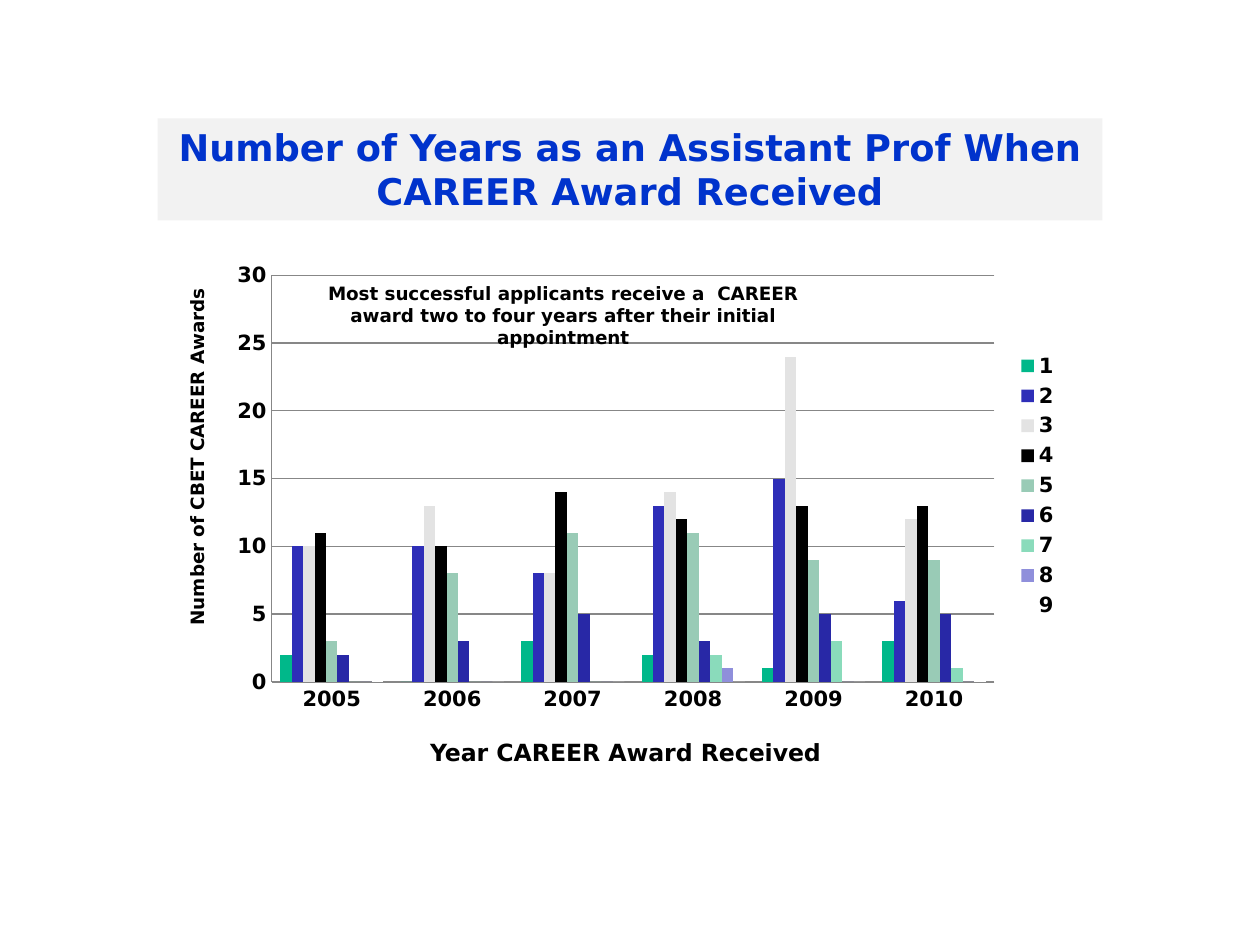
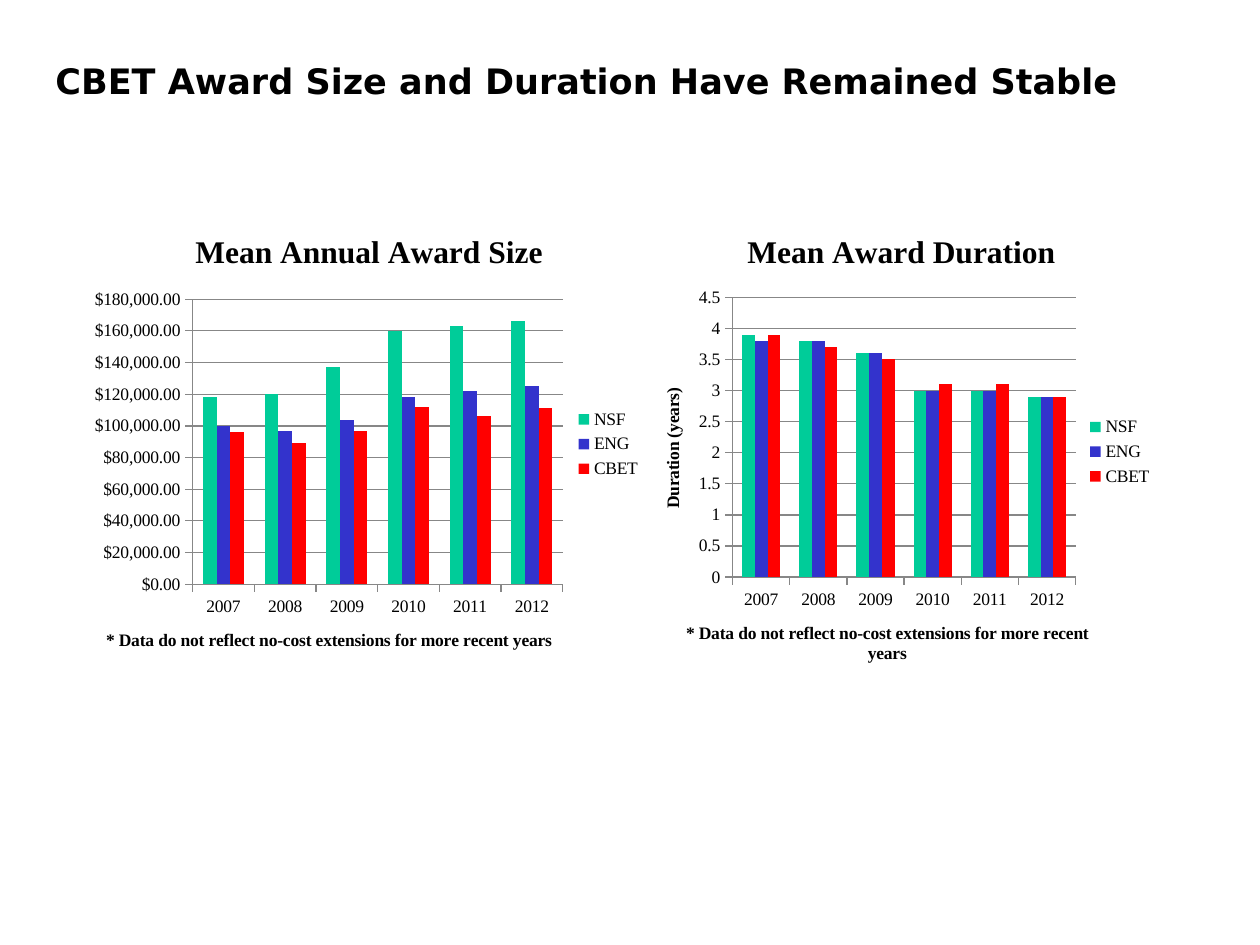
from pptx import Presentation
from pptx.chart.data import CategoryChartData
from pptx.dml.color import RGBColor
from pptx.enum.chart import XL_CHART_TYPE, XL_LEGEND_POSITION, XL_TICK_MARK
from pptx.enum.text import MSO_ANCHOR, MSO_AUTO_SIZE, PP_ALIGN
from pptx.oxml import parse_xml
from pptx.oxml.ns import nsdecls
from pptx.util import Inches, Pt

SANS, SERIF = "DejaVu Sans", "Times New Roman"
BLACK, TITLE_BLUE, BAND, GRID = "000000", "0033CC", "F2F2F2", "878787"
AWARD_YEARS = ["2005", "2006", "2007", "2008", "2009", "2010"]
RECENT_YEARS = ["2007", "2008", "2009", "2010", "2011", "2012"]
GROUP_COLORS = ["00CC99", "3333CC", "FF0000"]
EXTENSION_NOTE = "* Data do not reflect no-cost extensions for more recent years"


def write_text(shape, box, text, size, color=BLACK, wrap=True):
    shape.left, shape.top, shape.width, shape.height = map(Inches, box)
    frame = shape.text_frame
    frame.text = text
    frame.word_wrap = wrap
    frame.auto_size = MSO_AUTO_SIZE.NONE
    frame.vertical_anchor = MSO_ANCHOR.TOP
    paragraph = frame.paragraphs[0]
    paragraph.alignment = PP_ALIGN.CENTER
    paragraph.font.name = SANS
    paragraph.font.size = Pt(size)
    paragraph.font.bold = True
    paragraph.font.color.rgb = RGBColor.from_string(color)


def add_columns(slide, box, plot_box, years, series_rows, colors, top, step, tick_mark):
    data = CategoryChartData()
    data.categories = years
    for name, values in series_rows:
        data.add_series(name, values)
    chart = slide.shapes.add_chart(
        XL_CHART_TYPE.COLUMN_CLUSTERED, *map(Inches, box), data).chart
    chart.has_title = False
    chart.font.name = SERIF
    chart.font.size = Pt(10)
    chart.font.color.rgb = RGBColor.from_string(BLACK)
    chart.has_legend = True
    chart.legend.position = XL_LEGEND_POSITION.RIGHT
    chart.legend.include_in_layout = False
    plot = chart.plots[0]
    plot.gap_width = 150
    plot.overlap = 0
    plot.vary_by_categories = False
    for series, color in zip(plot.series, colors):
        series.invert_if_negative = False
        series.format.fill.solid()
        series.format.fill.fore_color.rgb = RGBColor.from_string(color)
    value_axis = chart.value_axis
    value_axis.minimum_scale, value_axis.maximum_scale = 0, top
    value_axis.major_unit = step
    value_axis.has_major_gridlines = True
    for axis in (chart.category_axis, value_axis):
        axis.major_tick_mark = tick_mark
        axis.format.line.color.rgb = RGBColor.from_string(GRID)
    value_axis.major_gridlines.format.line.color.rgb = RGBColor.from_string(GRID)
    plot_area = chart._chartSpace.chart.plotArea
    for layout in plot_area.findall("{*}layout"):
        plot_area.remove(layout)
    edges = "".join(f'<c:{key} val="{value}"/>' for key, value in zip("xywh", plot_box))
    plot_area.insert(0, parse_xml(
        f'<c:layout {nsdecls("c")}><c:manualLayout><c:layoutTarget val="inner"/>'
        f'<c:xMode val="edge"/><c:yMode val="edge"/>{edges}</c:manualLayout></c:layout>'))
    return chart


presentation = Presentation()
presentation.slide_width, presentation.slide_height = Inches(10), Inches(7.5)
title_only = presentation.slide_layouts[5]

slide = presentation.slides.add_slide(title_only)
title = slide.shapes.title
write_text(title, (1.25, 0.94, 7.5, 0.81),
           "Number of Years as an Assistant Prof When CAREER Award Received", 21, TITLE_BLUE)
title.fill.solid()
title.fill.fore_color.rgb = RGBColor.from_string(BAND)

awards_by_experience = [
    ("1", [2, 0, 3, 2, 1, 3]),
    ("2", [10, 10, 8, 13, 15, 6]),
    ("3", [10, 13, 8, 14, 24, 12]),
    ("4", [11, 10, 14, 12, 13, 13]),
    ("5", [3, 8, 11, 11, 9, 9]),
    ("6", [2, 3, 5, 3, 5, 5]),
    ("7", [0, 0, 0, 2, 3, 1]),
    ("8", [0, 0, 0, 1, 0, 0]),
    ("9", [1, 0, 0, 0, 0, 1]),
]
experience_colors = ["00B88A", "2E2EB8", "E3E3E3", "000000", "99CBB6",
                     "2828A6", "8ADBBB", "8F8FDB", "FFFFFF"]
chart = add_columns(slide, (1.75, 2, 6.75, 3.71), (0.06, 0.05, 0.85, 0.87), AWARD_YEARS,
                    awards_by_experience, experience_colors, 30, 5, XL_TICK_MARK.NONE)
for font in (chart.category_axis.tick_labels.font, chart.value_axis.tick_labels.font,
             chart.legend.font):
    font.name = SANS
    font.size = Pt(12)
    font.bold = True
    font.color.rgb = RGBColor.from_string(BLACK)

labels = [
    ((0.21, 3.4, 2.88, 0.45), "Number of CBET CAREER Awards", 10.5, 270),
    ((2.25, 2.19, 4.44, 0.63), "Most successful applicants receive a  CAREER award "
     "two to four years after their initial appointment", 10.5, 0),
    ((3.31, 5.81, 3.31, 0.56), "Year CAREER Award Received", 13.5, 0),
]
for box, text, size, rotation in labels:
    label = slide.shapes.add_textbox(*map(Inches, box))
    write_text(label, box, text, size)
    label.rotation = rotation

slide = presentation.slides.add_slide(title_only)
write_text(slide.shapes.title, (0.33, 0.42, 8.75, 0.44),
           "CBET Award Size and Duration Have Remained Stable ", 20, wrap=False)

award_sizes = [
    ("NSF", [118000, 120000, 137000, 160000, 163000, 166000]),
    ("ENG", [100000, 97000, 104000, 118000, 122000, 125000]),
    ("CBET", [96000, 89000, 97000, 112000, 106000, 111000]),
]
award_durations = [
    ("NSF", [3.9, 3.8, 3.6, 3, 3, 2.9]),
    ("ENG", [3.8, 3.8, 3.6, 3, 3, 2.9]),
    ("CBET", [3.9, 3.7, 3.5, 3.1, 3.1, 2.9]),
]
size_chart = add_columns(slide, (0.67, 1.67, 4.52, 3.71), (0.19, 0.19, 0.65, 0.61),
                         RECENT_YEARS, award_sizes, GROUP_COLORS, 180000, 20000,
                         XL_TICK_MARK.OUTSIDE)
duration_chart = add_columns(slide, (5.06, 1.67, 4.19, 3.83), (0.18, 0.18, 0.65, 0.58),
                             RECENT_YEARS, award_durations, GROUP_COLORS, 4.5, 0.5,
                             XL_TICK_MARK.OUTSIDE)
size_labels = size_chart.value_axis.tick_labels
size_labels.number_format = '"$"#,##0.00'
size_labels.number_format_is_linked = False

chart_titles = [
    (size_chart, "Mean Annual Award Size", 18),
    (duration_chart, "Mean Award Duration", 18),
    (size_chart.category_axis, EXTENSION_NOTE, 10),
    (duration_chart.category_axis, EXTENSION_NOTE, 10),
    (duration_chart.value_axis, "Duration (years)", 10),
]
for owner, text, size in chart_titles:
    heading = owner.chart_title if hasattr(owner, "chart_title") else owner.axis_title
    heading.text_frame.text = text
    paragraph = heading.text_frame.paragraphs[0]
    paragraph.font.name = SERIF
    paragraph.font.size = Pt(size)
    paragraph.font.bold = True
    paragraph.font.color.rgb = RGBColor.from_string(BLACK)

presentation.save("out.pptx")
